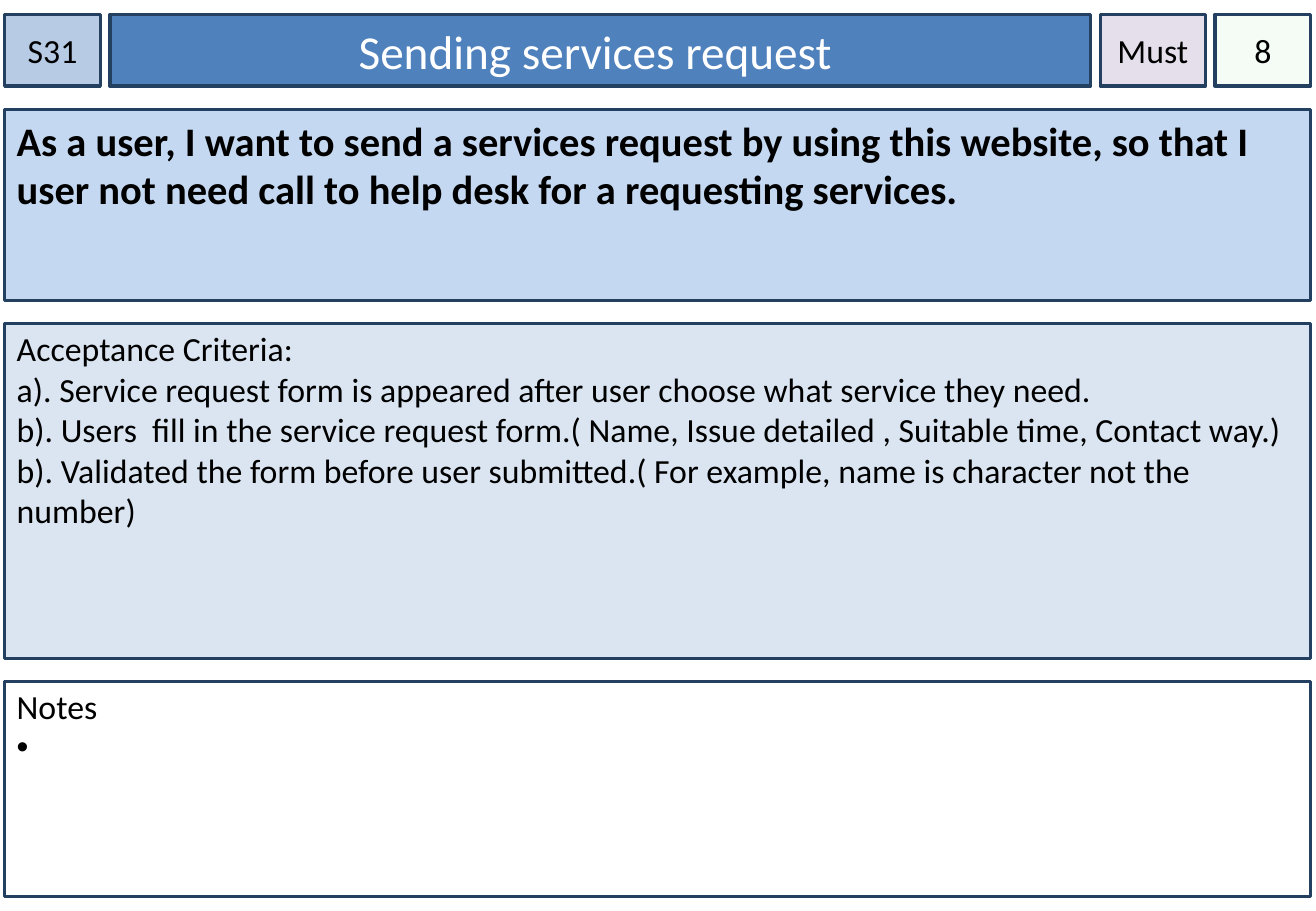
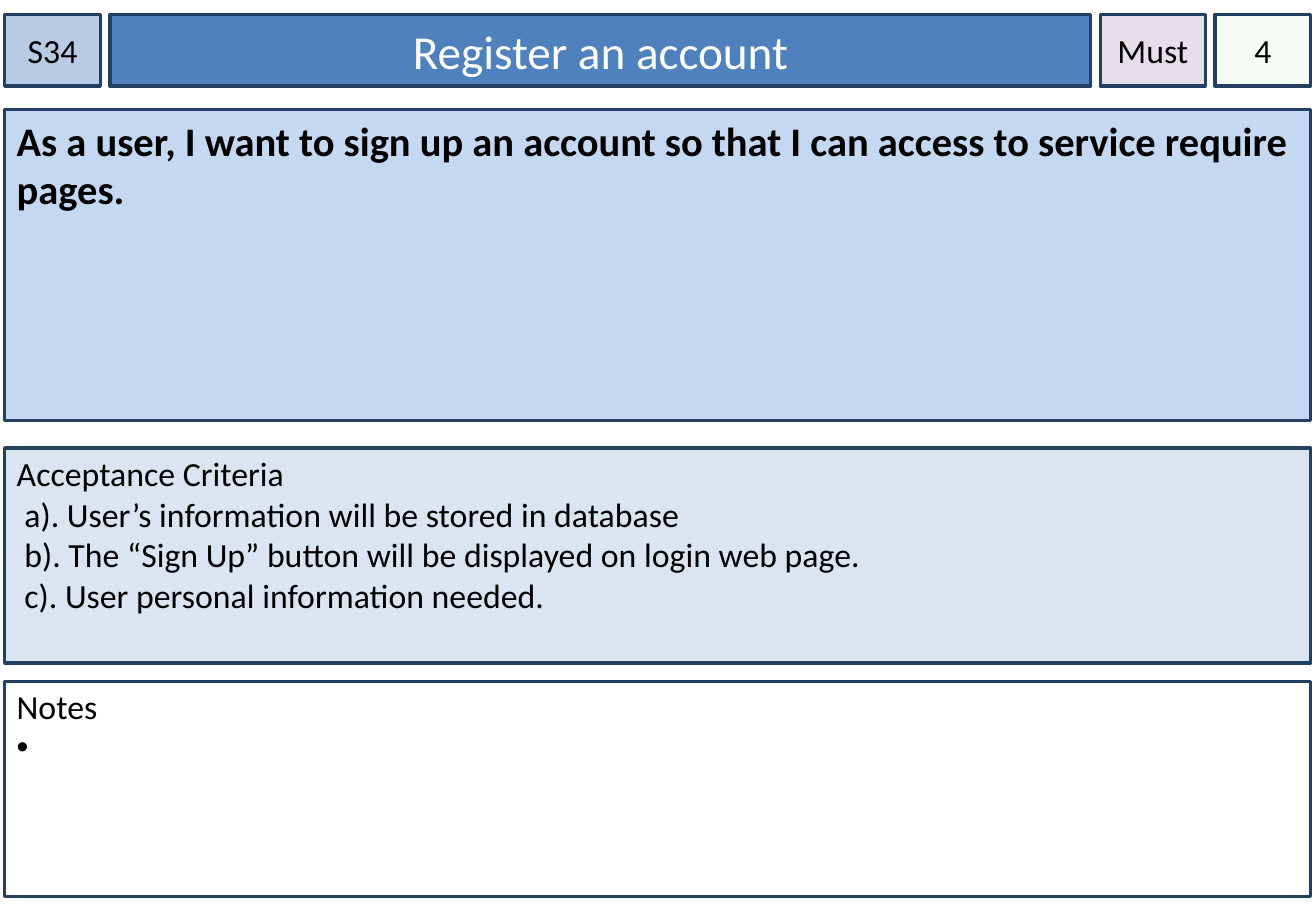
from dataclasses import dataclass

from lxml import etree
from pptx import Presentation
from pptx.dml.color import RGBColor
from pptx.enum import shapes, text
from pptx.oxml import ns
from pptx.util import Cm, Pt


@dataclass(frozen=True)
class Theme:
    font: str = "Calibri"
    ink: str = "000000"
    paper: str = "FFFFFF"
    border: str = "244061"
    code: str = "B7CCE4"
    title: str = "4F81BD"
    priority: str = "E5DFEC"
    points: str = "CCF0CD"
    story: str = "C5D8F1"
    criteria: str = "DAE5F1"
    title_size: int = 28
    story_size: int = 24
    body_size: int = 20


THEME = Theme()
SLIDE_WIDTH, SLIDE_HEIGHT = 27.51, 19.05
LEFT, GAP, PANEL_WIDTH = 0.1, 0.2, 27.3
HEADER_TOP, HEADER_HEIGHT = 0.3, 1.5
HEADER_WIDTHS = {"code": 2, "title": 20.5, "priority": 2.2, "points": 2}
STORY_TOP = 2.29
NOTES_TOP, NOTES_HEIGHT = 14.25, 4.5

CARDS = [
    {
        "code": "S31",
        "title": "Sending services request ",
        "priority": "Must",
        "points": "8",
        "story": "As a user, I want to send a services request by using this website, "
                 "so that I user not need call to help desk for a requesting services.",
        "story_height": 3.99,
        "heading": "Acceptance Criteria:",
        "criteria": [
            "a). Service request form is appeared after user choose what service they need.",
            "b). Users  fill in the service request form."
            "( Name, Issue detailed , Suitable time, Contact way.)",
            "b). Validated the form before user submitted."
            "( For example, name is character not the number)",
        ],
        "criteria_indent": 0,
        "criteria_top": 6.76,
        "criteria_height": 7.01,
    },
    {
        "code": "S34",
        "title": "Register an account",
        "priority": "Must",
        "points": "4",
        "story": "As a user, I want to sign up an account so that I can access "
                 "to service require pages.",
        "story_height": 6.5,
        "heading": "Acceptance Criteria",
        "criteria": [
            "a). User’s information will be stored in database",
            "b). The “Sign Up” button will be displayed on login web page.",
            "c). User personal information needed.",
        ],
        "criteria_indent": 0.16,
        "criteria_top": 9.37,
        "criteria_height": 4.5,
    },
]


def place(box, left, top, width, height):
    frame = {"left": left, "top": top, "width": width, "height": height}
    for name, value in frame.items():
        setattr(box, name, Cm(value))


def paint(box, fill):
    box.fill.solid()
    box.fill.fore_color.rgb = RGBColor.from_string(fill)
    box.line.color.rgb = RGBColor.from_string(THEME.border)
    box.line.width = Pt(2)


def set_opacity(box, percent):
    color = box._element.spPr.find(f"{ns.qn('a:solidFill')}/{ns.qn('a:srgbClr')}")
    etree.SubElement(color, ns.qn("a:alpha"), val=str(percent * 1000))


def write(box, lines, size, color=THEME.ink, bold=False, centred=False,
          side=0.25, inset_top=0.13):
    """Fill a box with one paragraph per line and return the paragraphs."""
    frame = box.text_frame
    settings = {
        "word_wrap": True,
        "auto_size": text.MSO_AUTO_SIZE.NONE,
        "vertical_anchor": text.MSO_ANCHOR.MIDDLE if centred else text.MSO_ANCHOR.TOP,
        "margin_left": Cm(side), "margin_right": Cm(side),
        "margin_top": Cm(inset_top), "margin_bottom": Cm(0.13),
    }
    for name, value in settings.items():
        setattr(frame, name, value)
    for index, line in enumerate(lines):
        para = frame.add_paragraph() if index else frame.paragraphs[0]
        para.alignment = text.PP_ALIGN.CENTER if centred else text.PP_ALIGN.LEFT
        span = para.add_run()
        span.text = line
        span.font.color.rgb = RGBColor.from_string(color)
        style = {"name": THEME.font, "size": Pt(size), "bold": bold}
        for name, value in style.items():
            setattr(span.font, name, value)
    return frame.paragraphs


def indent(para, left, first=0):
    properties = para._p.get_or_add_pPr()
    properties.set("marL", str(int(Cm(left))))
    properties.set("indent", str(int(Cm(first))))
    return properties


def add_bullet(para):
    properties = indent(para, 0.5, -0.5)
    etree.SubElement(properties, ns.qn("a:buFont"), typeface="Arial")
    etree.SubElement(properties, ns.qn("a:buChar"), char="•")


def add_box(page, fill, left, top, width, height):
    box = page.shapes.add_shape(shapes.MSO_SHAPE.RECTANGLE, 0, 0, 0, 0)
    box.shadow.inherit = False
    place(box, left, top, width, height)
    paint(box, fill)
    return box


def add_header(page, card):
    """Lay the code, title, priority and points side by side."""
    left = LEFT
    for name, width in HEADER_WIDTHS.items():
        area = (left, HEADER_TOP, width, HEADER_HEIGHT)
        fill = getattr(THEME, name)
        if name == "title":
            title = page.shapes.title
            place(title, *area)
            paint(title, fill)
            write(title, [card[name]], THEME.title_size, THEME.paper, centred=True)
        else:
            badge = add_box(page, fill, *area)
            write(badge, [card[name]], THEME.body_size, centred=True, side=0)
            if name == "points":
                set_opacity(badge, 20)
        left += width + GAP


def add_panel(page, fill, top, height, lines, **style):
    box = add_box(page, fill, LEFT, top, PANEL_WIDTH, height)
    return write(box, lines, **style)


def add_card(deck, card):
    page = deck.slides.add_slide(deck.slide_layouts.get_by_name("Title Only"))
    add_header(page, card)
    add_panel(page, THEME.story, STORY_TOP, card["story_height"], [card["story"]],
              size=THEME.story_size, bold=True)
    body = {"size": THEME.body_size, "inset_top": 0.1}
    criteria = add_panel(page, THEME.criteria, card["criteria_top"],
                         card["criteria_height"],
                         [card["heading"], *card["criteria"]], **body)
    for para in criteria[1:]:
        indent(para, card["criteria_indent"])
    notes = add_panel(page, THEME.paper, NOTES_TOP, NOTES_HEIGHT, ["Notes", " "], **body)
    add_bullet(notes[1])


def main():
    deck = Presentation()
    deck.slide_width, deck.slide_height = Cm(SLIDE_WIDTH), Cm(SLIDE_HEIGHT)
    for card in CARDS:
        add_card(deck, card)
    deck.save("out.pptx")


if __name__ == "__main__":
    main()
